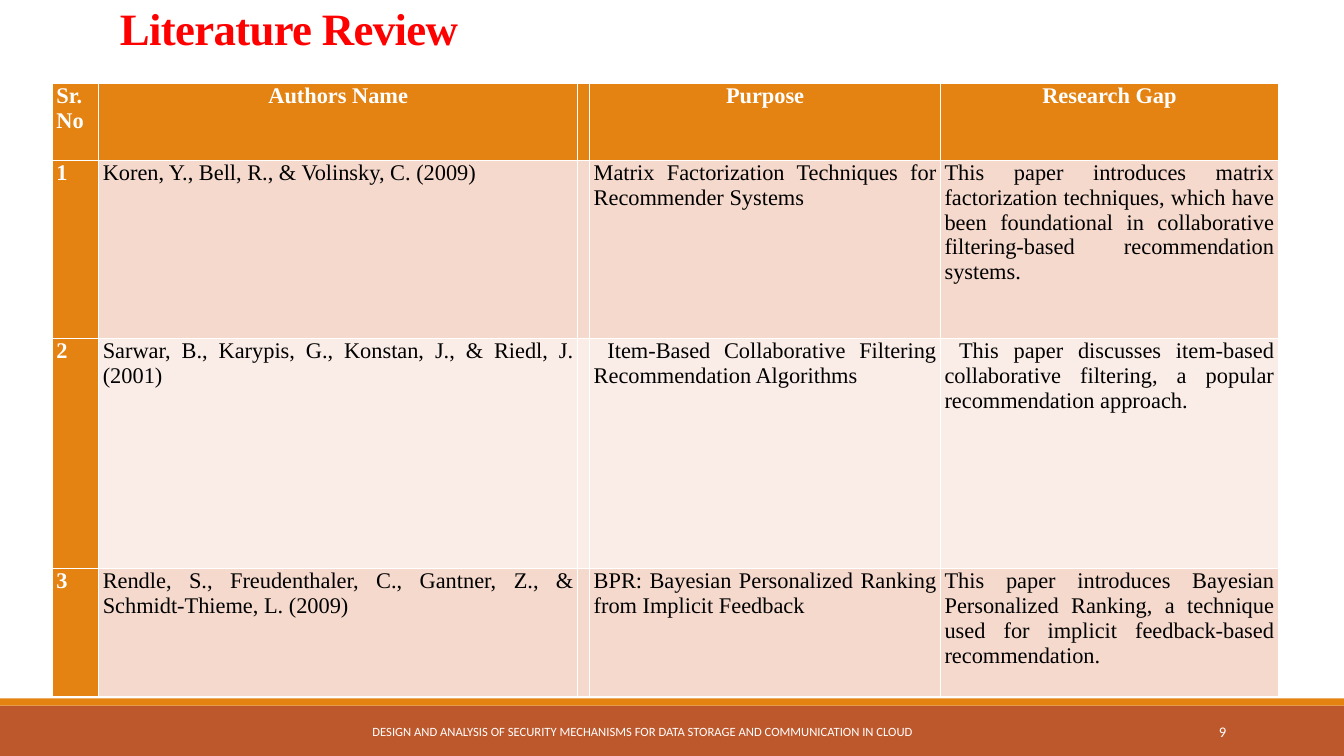
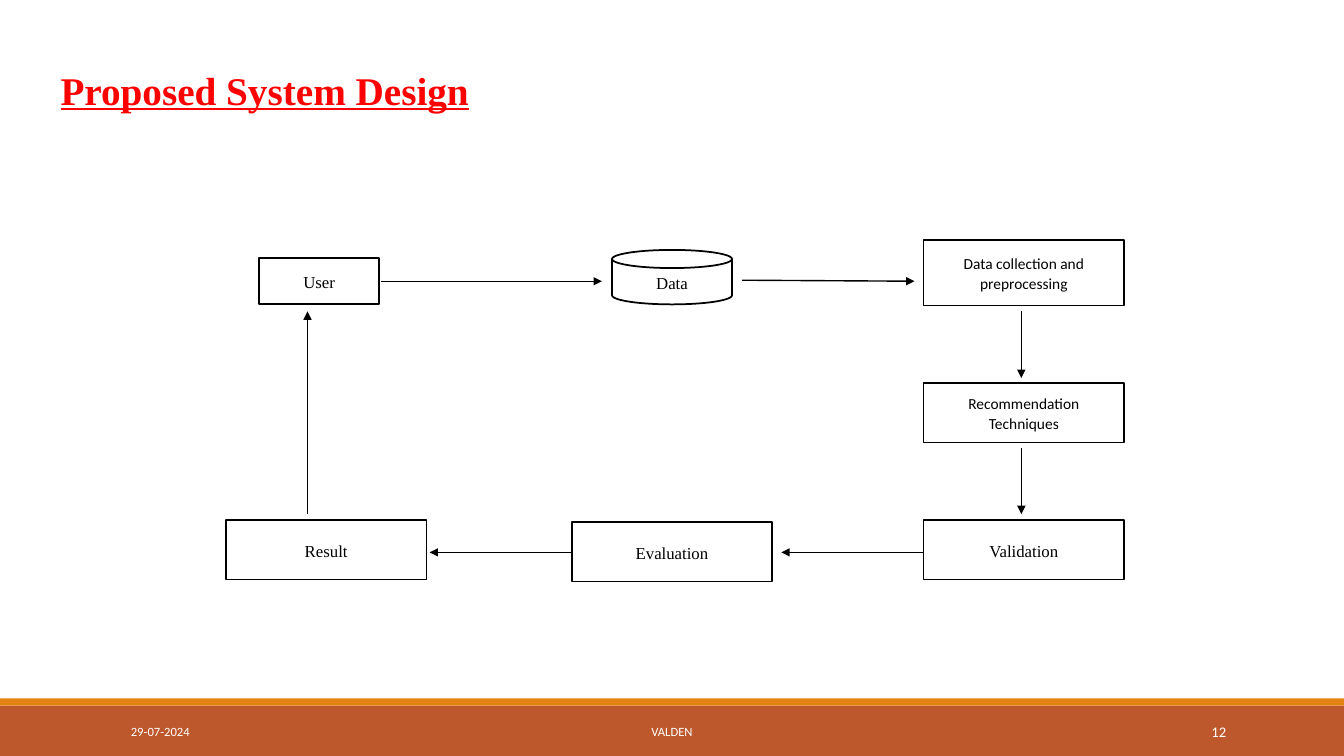
from lxml import etree
from pptx import Presentation
from pptx.dml.color import RGBColor
from pptx.enum.shapes import MSO_CONNECTOR, MSO_SHAPE
from pptx.enum.text import MSO_ANCHOR, MSO_AUTO_SIZE, PP_ALIGN
from pptx.oxml.ns import qn
from pptx.util import Inches, Pt

LEFT, MID, RIGHT, JUST = PP_ALIGN.LEFT, PP_ALIGN.CENTER, PP_ALIGN.RIGHT, PP_ALIGN.JUSTIFY
TOP, CENTER = MSO_ANCHOR.TOP, MSO_ANCHOR.MIDDLE
RECT, DISK = MSO_SHAPE.RECTANGLE, MSO_SHAPE.FLOWCHART_MAGNETIC_DISK
STRAIGHT = MSO_CONNECTOR.STRAIGHT
NO_FIT = MSO_AUTO_SIZE.NONE
SERIF, SANS = "Times New Roman", "Calibri"
WHITE, BLACK, RED = "FFFFFF", "000000", "FF0000"
ORANGE, RUST = "E48312", "BD582C"
ROSE, BLUSH = "F5D9CC", "FAEDE7"


def paint(part, hue):
    if hasattr(part, "solid"):
        part.solid()
        part = part.fore_color
    part.rgb = RGBColor.from_string(hue)


def write(frame, text, size=12, font=SERIF, hue=BLACK, bold=False, line=False,
          align=LEFT, anchor=TOP, lead=1.0, before=0, after=0, track=0):
    frame.word_wrap = True
    frame.vertical_anchor = anchor
    para = frame.paragraphs[0]
    para.alignment = align
    para.line_spacing = lead
    para.space_before, para.space_after = Pt(before), Pt(after)
    run = para.add_run()
    run.text = text
    run.font.size, run.font.name = Pt(size), font
    run.font.bold, run.font.underline = bold, line
    paint(run.font.color, hue)
    if track:
        run._r.get_or_add_rPr().set("spc", str(track))


deck = Presentation()
deck.slide_width, deck.slide_height = Inches(13.33), Inches(7.5)

bands = [(7, 0.5, RUST), (6.93, 0.07, ORANGE)]
pages = [
    ("Literature Review", (1.09, 0.04, 11, 0.76),
     dict(size=32, lead=0.85, track=-50),
     [("DESIGN AND ANALYSIS OF SECURITY MECHANISMS FOR DATA STORAGE AND COMMUNICATION IN CLOUD",
       3.43, 5.88, MID, 9),
      ("9", 10.83, 1.43, RIGHT, 10.5)]),
    ("Proposed System Design", (-0.29, 0.37, 5.83, 1.25),
     dict(size=28, line=True, align=MID, lead=1.5, before=12, after=2),
     [("29-07-2024", 1.2, 2.7, LEFT, 9),
      ("VALDEN", 4.03, 5.27, MID, 9),
      ("12", 10.83, 1.43, RIGHT, 10.5)]),
]

for name, place, style, feet in pages:
    slide = deck.slides.add_slide(deck.slide_layouts[5])
    for top, high, hue in bands:
        band = slide.shapes.add_shape(RECT, 0, Inches(top), deck.slide_width, Inches(high))
        band.shadow.inherit = False
        paint(band.fill, hue)
        band.line.fill.background()
    for text, left, wide, align, size in feet:
        foot = slide.shapes.add_textbox(Inches(left), Inches(7.06), Inches(wide), Inches(0.4))
        write(foot.text_frame, text, size=size, font=SANS, hue=WHITE, align=align, anchor=CENTER)
    title = slide.shapes.title
    title.left, title.top, title.width, title.height = map(Inches, place)
    title.text_frame.auto_size = NO_FIT
    write(title.text_frame, name, hue=RED, bold=True, **style)

review, design = deck.slides

wides = [0.46, 4.75, 0.1, 3.48, 3.35]
highs = [0.76, 1.77, 2.28, 1.27]
rows = [
    ("Sr. No", "Authors Name", "", "Purpose", "Research Gap"),
    ("1", "Koren, Y., Bell, R., & Volinsky, C. (2009)", "",
     "Matrix Factorization Techniques for Recommender Systems",
     "This paper introduces matrix factorization techniques, which have been foundational "
     "in collaborative filtering-based recommendation systems."),
    ("2", "Sarwar, B., Karypis, G., Konstan, J., & Riedl, J. (2001)", "",
     " Item-Based Collaborative Filtering Recommendation Algorithms",
     " This paper discusses item-based collaborative filtering, a popular recommendation approach."),
    ("3", "Rendle, S., Freudenthaler, C., Gantner, Z., & Schmidt-Thieme, L. (2009)", "",
     "BPR: Bayesian Personalized Ranking from Implicit Feedback",
     "This paper introduces Bayesian Personalized Ranking, a technique used for implicit "
     "feedback-based recommendation."),
]
table = review.shapes.add_table(len(rows), len(wides), Inches(0.52), Inches(0.83),
                                Inches(sum(wides)), Inches(sum(highs))).table
table.first_col = True
for col, wide in zip(table.columns, wides):
    col.width = Inches(wide)
for r, (row, high) in enumerate(zip(rows, highs)):
    table.rows[r].height = Inches(high)
    for c, text in enumerate(row):
        cell = table.cell(r, c)
        cell.margin_left = cell.margin_right = Inches(0.04)
        cell.margin_top = cell.margin_bottom = 0
        head = r == 0 or c == 0
        paint(cell.fill, ORANGE if head else ROSE if r % 2 else BLUSH)
        if text:
            write(cell.text_frame, text, size=16, hue=WHITE if head else BLACK, bold=head,
                  align=MID if r == 0 and c else JUST)

boxes = [
    ("User", RECT, 2.57, 2.56, 1.19, 0.46, SERIF, 12),
    ("Data", DISK, 6.07, 2.48, 1.19, 0.54, SERIF, 12),
    ("Data collection and preprocessing", RECT, 9.16, 2.38, 1.99, 0.65, SANS, 11),
    ("Recommendation Techniques", RECT, 9.16, 3.8, 1.99, 0.59, SANS, 11),
    ("Validation", RECT, 9.16, 5.16, 1.99, 0.59, SERIF, 12),
    ("Evaluation", RECT, 5.67, 5.18, 1.99, 0.59, SERIF, 12),
    ("Result", RECT, 2.24, 5.16, 1.99, 0.59, SERIF, 12),
]
for text, kind, left, top, wide, high, font, size in boxes:
    box = design.shapes.add_shape(kind, Inches(left), Inches(top), Inches(wide), Inches(high))
    box.shadow.inherit = False
    paint(box.fill, WHITE)
    paint(box.line.color, BLACK)
    box.line.width = Pt(1.25)
    write(box.text_frame, text, size=size, font=font, align=MID, anchor=CENTER,
          lead=1.07, after=8)

arrows = [
    (3.78, 2.79, 5.97, 2.79),
    (7.36, 2.78, 9.07, 2.79),
    (10.13, 3.09, 10.13, 3.75),
    (10.13, 4.44, 10.13, 5.1),
    (9.16, 5.48, 7.75, 5.48),
    (5.67, 5.48, 4.26, 5.48),
    (3.05, 5.1, 3.05, 3.09),
]
for ends in arrows:
    arrow = design.shapes.add_connector(STRAIGHT, *map(Inches, ends))
    paint(arrow.line.color, BLACK)
    arrow.line.width = Pt(1)
    props = arrow._element.spPr
    etree.SubElement(props.find(qn("a:ln")), qn("a:tailEnd"), type="triangle")
    etree.SubElement(props, qn("a:effectLst"))

deck.save("out.pptx")
